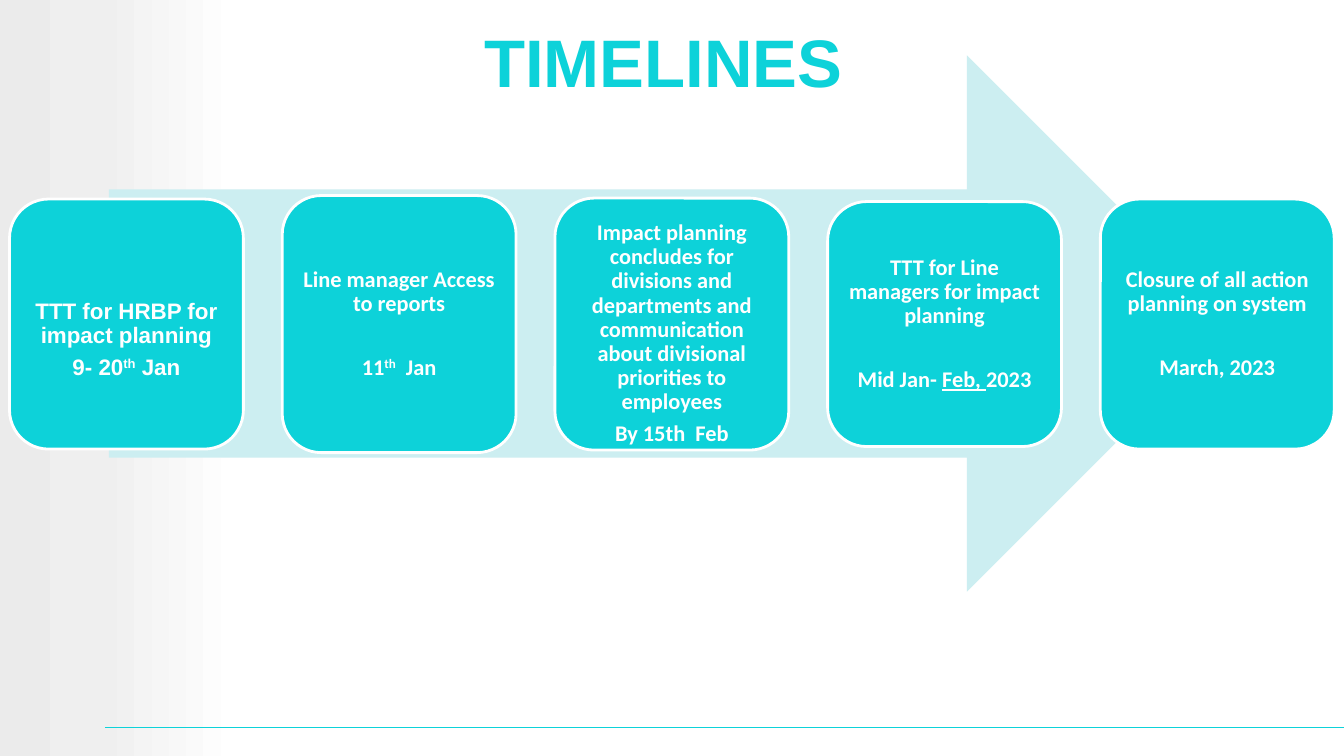
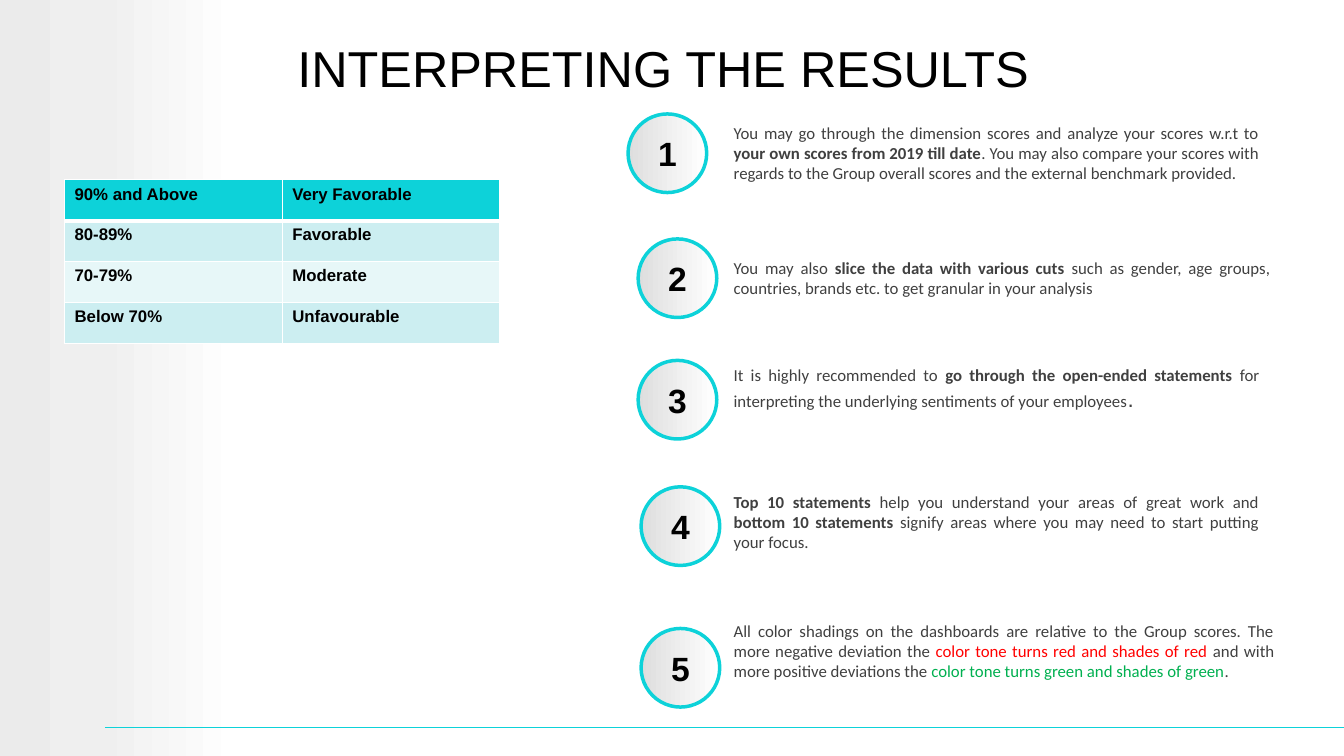
from dataclasses import dataclass
from typing import NamedTuple, Optional

import pptx
import pptx.dml.color
import pptx.enum.shapes
import pptx.enum.text
import pptx.oxml
import pptx.oxml.ns
import pptx.util

MSO_SHAPE = pptx.enum.shapes.MSO_SHAPE
PP_ALIGN = pptx.enum.text.PP_ALIGN
MSO_ANCHOR = pptx.enum.text.MSO_ANCHOR
Pt = pptx.util.Pt
qn = pptx.oxml.ns.qn

SLIDE_W, SLIDE_H = pptx.util.Inches(13.33), pptx.util.Inches(7.5)


@dataclass(frozen=True)
class Theme:
    accent: str = "0DD2D9"
    pale: str = "CCEEF1"
    paler: str = "E7F7F8"
    white: str = "FFFFFF"
    black: str = "000000"
    body: str = "404040"
    red: str = "FF0000"
    green: str = "00B050"
    band: tuple = ((0, "EBEBEB"), (42, "EFEFEF"), (100, "FFFFFF"))
    badge: tuple = ((0, "DEDEDE"), (100, "FFFFFF"))
    heading_font: str = "Arial"
    body_font: str = "Calibri"
    title_big: int = 48
    title_small: int = 36
    number_size: int = 24
    card_size: int = 16
    body_size: int = 12


THEME = Theme()


class Run(NamedTuple):
    text: str
    bold: Optional[bool] = None
    color: Optional[str] = None
    underline: Optional[bool] = None
    superscript: bool = False
    size: Optional[int] = None
    font: Optional[str] = None


class Card(NamedTuple):
    height: float
    label: str
    date: list[Run]
    gap: float = 28.6
    drop: float = 0
    font: str = THEME.body_font


class Note(NamedTuple):
    badge_left: float
    badge_middle: float
    top: float
    width: float
    height: float
    runs: list[Run]


CARDS = [
    Card(33.07, "TTT for HRBP for impact planning",
         [Run("9- 20"), Run("th", superscript=True), Run(" Jan")],
         gap=5.6, drop=4.27, font=THEME.heading_font),
    Card(34, "Line manager Access to reports",
         [Run("11"), Run("th", superscript=True), Run("  Jan")]),
    Card(33.33, "Impact planning concludes for divisions and departments and "
         "communication about divisional priorities to employees",
         [Run("By 15th  Feb")], gap=5.6, drop=2.6),
    Card(32.4, "TTT for Line managers for impact planning",
         [Run("Mid Jan- "), Run("Feb, ", underline=True), Run("2023")]),
    Card(33.07, "Closure of all action planning on system", [Run("March, 2023")]),
]

NOTES = [
    Note(46.73, 20.27, 15.6, 40.58, 9.47, [
        Run("You may go through the dimension scores and analyze your scores w.r.t to "),
        Run("your own scores from 2019 till date", bold=True),
        Run(". You may also compare your scores with regards to the Group overall "
            "scores and the external benchmark provided.")]),
    Note(47.48, 36.8, 33.47, 41.4, 6.67, [
        Run("You may also "),
        Run("slice the data with various cuts ", bold=True),
        Run("such as gender, age groups, countries, brands etc. to get granular "
            "in your analysis")]),
    Note(47.48, 52.87, 47.6, 40.58, 7.6, [
        Run("It is highly recommended to "),
        Run("go through the open-ended statements ", bold=True),
        Run("for interpreting the underlying sentiments of your employees"),
        Run(".", size=THEME.card_size, font=THEME.heading_font)]),
    Note(47.7, 69.6, 64.4, 40.58, 9.47, [
        Run("Top 10 statements ", bold=True),
        Run("help you understand your areas of great work and "),
        Run("bottom 10 statements ", bold=True),
        Run("signify areas where you may need to start putting your focus.")]),
    Note(47.7, 88.33, 81.47, 41.7, 9.47, [
        Run("All color shadings on the dashboards are relative to the Group scores. "
            "The more negative deviation the "),
        Run("color tone turns red and shades of red ", color=THEME.red),
        Run("and with more positive deviations the "),
        Run("color tone turns green and shades of green", color=THEME.green),
        Run(".")]),
]

RATINGS = [
    ("90% and Above", "Very Favorable"),
    ("80-89%", "Favorable"),
    ("70-79%", "Moderate"),
    ("Below 70%", "Unfavourable"),
]
ROW_FILLS = (THEME.accent, THEME.pale, THEME.paler, THEME.pale)


def x(share: float) -> int:
    """Length for a percentage of the slide width."""
    return round(SLIDE_W * share / 100)


def y(share: float) -> int:
    """Length for a percentage of the slide height."""
    return round(SLIDE_H * share / 100)


def rgb(color: str) -> pptx.dml.color.RGBColor:
    return pptx.dml.color.RGBColor.from_string(color)


def set_font(font, name: str, size: int, color: str, bold: bool = False) -> None:
    font.name, font.size, font.bold = name, Pt(size), bold
    font.color.rgb = rgb(color)


def add_runs(p, runs: list[Run]) -> None:
    for run in runs:
        r = p.add_run()
        r.text = run.text
        if run.bold is not None:
            r.font.bold = run.bold
        if run.underline is not None:
            r.font.underline = run.underline
        if run.color:
            r.font.color.rgb = rgb(run.color)
        if run.size:
            r.font.size = Pt(run.size)
        if run.font:
            r.font.name = run.font
        if run.superscript:
            r._r.get_or_add_rPr().set("baseline", "30000")


def set_gradient(sp, stops: tuple) -> None:
    """Fill from left to right with (percentage, colour) stops."""
    sp.fill.gradient()
    sp.fill.gradient_angle = 0
    gs_list = sp.element.spPr.find(qn("a:gradFill")).find(qn("a:gsLst"))
    gs_list.clear()
    for position, color in stops:
        gs = pptx.oxml.parse_xml(
            f'<a:gs {pptx.oxml.ns.nsdecls("a")} pos="{position * 1000}">'
            f'<a:srgbClr val="{color}"/></a:gs>')
        gs_list.append(gs)


def add_shape(slide, kind, box: tuple, fill, line: Optional[str] = None,
              line_width: float = 0):
    """Draw a preset shape; fill is one colour or gradient stops."""
    sp = slide.shapes.add_shape(kind, *box)
    sp.shadow.inherit = False
    if isinstance(fill, str):
        sp.fill.solid()
        sp.fill.fore_color.rgb = rgb(fill)
    else:
        set_gradient(sp, fill)
    if line:
        sp.line.color.rgb = rgb(line)
        sp.line.width = Pt(line_width)
    else:
        sp.line.fill.background()
    return sp


def add_band(layout, slide) -> None:
    """Draw the side band and move it to the layout."""
    band = add_shape(slide, MSO_SHAPE.RECTANGLE, (0, 0, x(17.7), SLIDE_H), THEME.band)
    layout.shapes.element.insert(2, band.element)


def add_footer_rule(slide) -> None:
    rule = slide.shapes.add_connector(
        pptx.enum.shapes.MSO_CONNECTOR.STRAIGHT, x(7.8), y(96.27), SLIDE_W, y(96.27))
    rule.line.color.rgb = rgb(THEME.accent)
    rule.line.width = Pt(1)
    rule.element.spPr.append(
        pptx.oxml.parse_xml(f'<a:effectLst {pptx.oxml.ns.nsdecls("a")}/>'))


def add_title(slide, text: str, size: int, color: str, bold: bool, top: float) -> None:
    title = slide.shapes.title
    title.left, title.top, title.width, title.height = x(8.02), y(top), x(82.67), y(15.07)
    tf = title.text_frame
    tf.text = text
    tf.auto_size = pptx.enum.text.MSO_AUTO_SIZE.NONE
    tf.vertical_anchor = MSO_ANCHOR.MIDDLE
    p = tf.paragraphs[0]
    p.alignment = PP_ALIGN.CENTER
    set_font(p.font, THEME.heading_font, size, color, bold)


def add_card(slide, column: int, card: Card) -> None:
    box = (x(0.71 + 20.29 * column), y(42.87 - card.height / 2), x(17.4), y(card.height))
    sp = add_shape(slide, MSO_SHAPE.ROUNDED_RECTANGLE, box, THEME.accent, THEME.white, 2)
    tf = sp.text_frame
    tf.word_wrap = True
    tf.vertical_anchor = MSO_ANCHOR.MIDDLE
    tf.margin_left = tf.margin_right = x(0.5)
    tf.margin_top, tf.margin_bottom = y(card.drop), 0
    label, date = tf.paragraphs[0], tf.add_paragraph()
    date.space_before = Pt(card.gap)
    for p, runs in ((label, [Run(card.label)]), (date, card.date)):
        p.alignment = PP_ALIGN.CENTER
        p.line_spacing = 0.9
        set_font(p.font, card.font, THEME.card_size, THEME.white, True)
        add_runs(p, runs)


def add_note(slide, number: int, note: Note) -> None:
    size = y(10.4)
    box = (x(note.badge_left), y(note.badge_middle) - size // 2, size, size)
    sp = add_shape(slide, MSO_SHAPE.OVAL, box, THEME.badge, THEME.accent, 2.5)
    tf = sp.text_frame
    tf.margin_left = tf.margin_right = tf.margin_top = tf.margin_bottom = 0
    tf.vertical_anchor = MSO_ANCHOR.MIDDLE
    p = tf.paragraphs[0]
    p.alignment = PP_ALIGN.CENTER
    set_font(p.font, THEME.heading_font, THEME.number_size, THEME.black, True)
    add_runs(p, [Run(str(number))])

    tf = slide.shapes.add_textbox(
        x(53.85), y(note.top), x(note.width), y(note.height)).text_frame
    tf.word_wrap = True
    p = tf.paragraphs[0]
    p.alignment = PP_ALIGN.JUSTIFY
    set_font(p.font, THEME.body_font, THEME.body_size, THEME.body)
    add_runs(p, note.runs)


def set_borders(cell, bottom_width: float) -> None:
    """Give a cell white borders, 1 pt except at the bottom."""
    tc_pr = cell._tc.get_or_add_tcPr()
    for i, (side, width) in enumerate(zip("LRTB", (1, 1, 1, bottom_width))):
        tc_pr.insert(i, pptx.oxml.parse_xml(
            f'<a:ln{side} {pptx.oxml.ns.nsdecls("a")} w="{Pt(width)}"><a:solidFill>'
            f'<a:srgbClr val="{THEME.white}"/></a:solidFill></a:ln{side}>'))


def add_ratings(slide) -> None:
    table = slide.shapes.add_table(
        len(RATINGS), 2, x(4.8), y(23.77), x(32.4), y(5.42 * len(RATINGS))).table
    for i, (row, fill) in enumerate(zip(RATINGS, ROW_FILLS)):
        for j, text in enumerate(row):
            cell = table.cell(i, j)
            cell.text = text
            cell.fill.solid()
            cell.fill.fore_color.rgb = rgb(fill)
            set_borders(cell, 3 if i == 0 else 1)
            set_font(cell.text_frame.paragraphs[0].font, THEME.heading_font,
                     THEME.body_size, THEME.black, True)


def main() -> None:
    prs = pptx.Presentation()
    prs.slide_width, prs.slide_height = SLIDE_W, SLIDE_H
    layout = prs.slide_layouts.get_by_name("Title Only")

    timeline = prs.slides.add_slide(layout)
    add_band(layout, timeline)
    add_footer_rule(timeline)
    add_shape(timeline, MSO_SHAPE.RIGHT_ARROW,
              (x(8.1), y(7.33), x(83.8), y(70.93)), THEME.pale)
    for column, card in enumerate(CARDS):
        add_card(timeline, column, card)
    add_title(timeline, "TIMELINES", THEME.title_big, THEME.accent, True, 0.53)

    results = prs.slides.add_slide(layout)
    add_footer_rule(results)
    add_title(results, "INTERPRETING THE RESULTS", THEME.title_small, THEME.black, False, 1.33)
    add_ratings(results)
    for number, note in enumerate(NOTES, start=1):
        add_note(results, number, note)

    prs.save("out.pptx")


if __name__ == "__main__":
    main()
